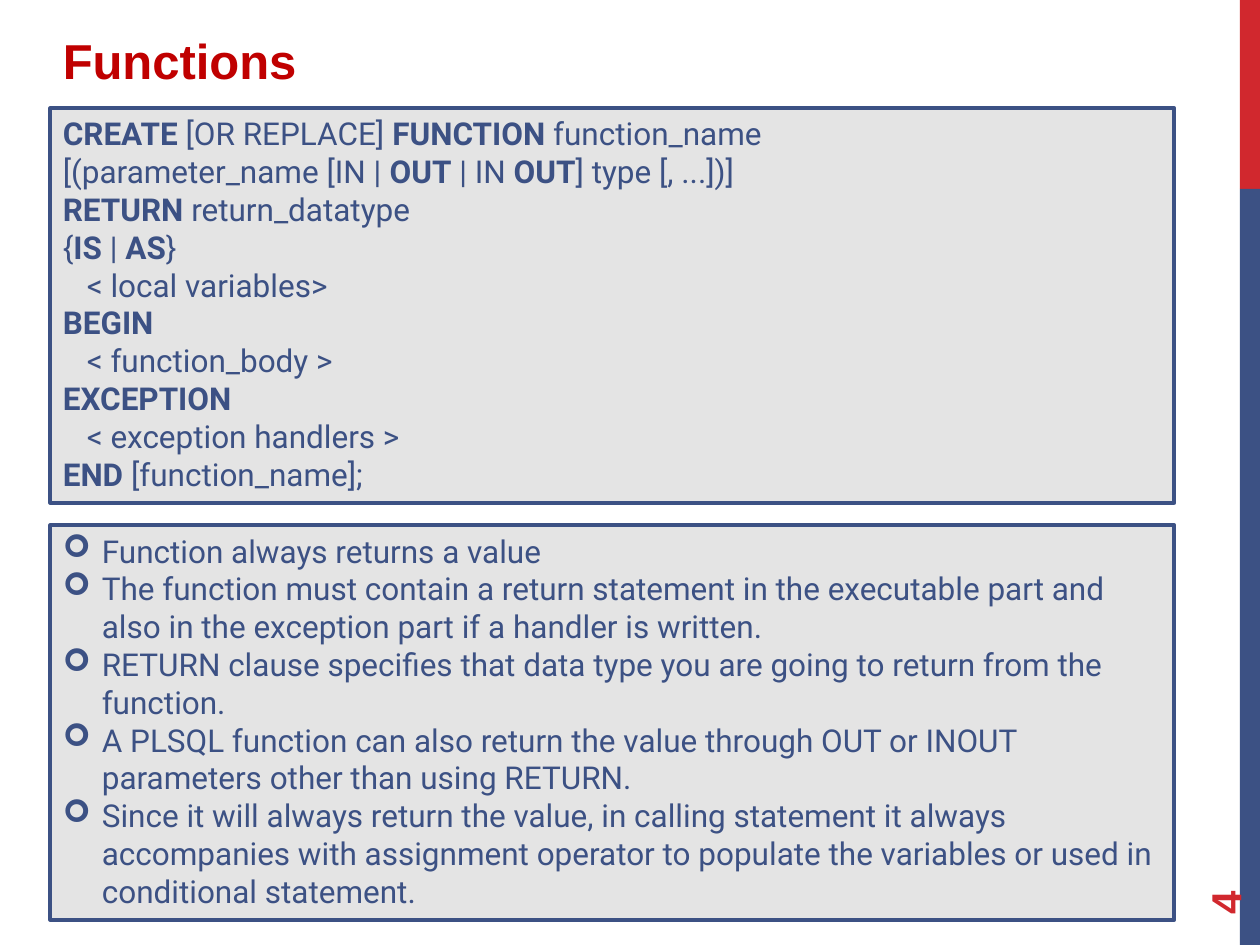
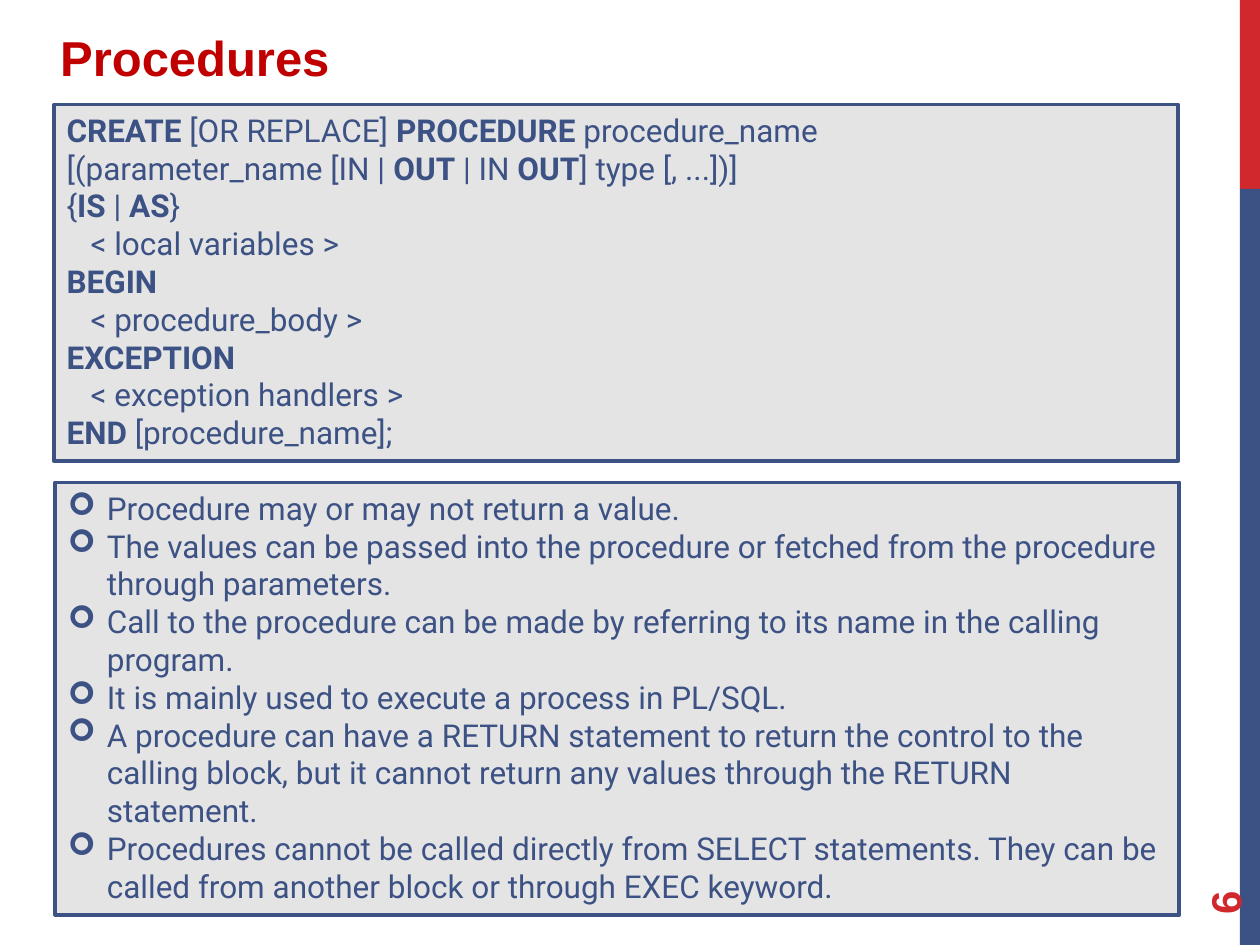
from lxml import etree
from pptx import Presentation
from pptx.dml.color import RGBColor
from pptx.enum import shapes, text
from pptx.oxml import ns
from pptx.util import Inches, Pt

COLORS = {"red": "D1282E", "blue": "3C5184", "title": "C00000", "panel": "E4E4E4"}
HEAD_FONT, BODY_FONT = "Arial", "Roboto"
PANEL_WIDTH = 8.92
CODE_INDENT = 0.19
BULLET_INDENT = 0.31

# In code lines, *stars* enclose keywords and a leading tab indents the line.
PARAMETERS = "[(parameter_name [IN | *OUT* | IN *OUT*] type [, ...])]"

PAGES = [
    {
        "title": "Functions", "number": "4", "title_at": (0.4, 0.19),
        "code_at": (0.4, 0.86, 3.13), "notes_at": (0.4, 4.17, 3.13),
        "code": [
            "*CREATE* [OR REPLACE] *FUNCTION* function_name",
            PARAMETERS,
            "*RETURN* return_datatype",
            "{*IS* | *AS*}",
            "\t< local variables>",
            "*BEGIN*",
            "\t< function_body >",
            "*EXCEPTION*",
            "\t< exception handlers >",
            "*END* [function_name];",
        ],
        "notes": [
            "Function always returns a value",
            "The function must contain a return statement in the executable part "
            "and also in the exception part if a handler is written.",
            "RETURN clause specifies that data type you are going to return from "
            "the function.",
            "A PLSQL function can also return the value through OUT or INOUT "
            "parameters other than using RETURN.",
            "Since it will always return the value, in calling statement it always "
            "accompanies with assignment operator to populate the variables or "
            "used in conditional statement.",
        ],
    },
    {
        "title": "Procedures", "number": "6", "title_at": (0.38, 0.17),
        "code_at": (0.43, 0.83, 2.83), "notes_at": (0.44, 3.83, 3.43),
        "code": [
            "*CREATE* [OR REPLACE] *PROCEDURE* procedure_name",
            PARAMETERS,
            "{*IS* | *AS*}",
            "\t< local variables >",
            "*BEGIN*",
            "\t< procedure_body >",
            "*EXCEPTION*",
            "\t< exception handlers >",
            "*END* [procedure_name];",
        ],
        "notes": [
            "Procedure may or may not return a value.",
            "The values can be passed into the procedure or fetched from the "
            "procedure through parameters.",
            "Call to the procedure can be made by referring to its name in the "
            "calling program.",
            "It is mainly used to execute a process in PL/SQL.",
            "A procedure can have a RETURN statement to return the control to the "
            "calling block, but it cannot return any values through the RETURN "
            "statement.",
            "Procedures cannot be called directly from SELECT statements. They can "
            "be called from another block or through EXEC keyword.",
        ],
    },
]


def rgb(name):
    return RGBColor.from_string(COLORS[name])


def add_span(para, words, font, size, color, bold=False):
    span = para.add_run()
    span.text = words
    span.font.name = font
    span.font.size = Pt(size)
    span.font.bold = bold
    span.font.color.rgb = rgb(color)


def add_rect(page, left, top, width, height, fill, line=None):
    rect = page.shapes.add_shape(
        shapes.MSO_SHAPE.RECTANGLE,
        Inches(left), Inches(top), Inches(width), Inches(height))
    rect.shadow.inherit = False
    rect.fill.solid()
    rect.fill.fore_color.rgb = rgb(fill)
    if line:
        rect.line.color.rgb = rgb(line)
        rect.line.width = Pt(2.25)
    else:
        rect.line.fill.background()
    return rect


def add_label(page, left, top, width, height, words, size, color):
    """Add a one-line bold heading text box."""
    box = page.shapes.add_textbox(
        Inches(left), Inches(top), Inches(width), Inches(height))
    box.text_frame.word_wrap = True
    add_span(box.text_frame.paragraphs[0], words, HEAD_FONT, size, color, True)
    return box


def add_panel(page, left, top, height):
    """Add a grey framed panel and return its text frame."""
    panel = add_rect(page, left, top, PANEL_WIDTH, height, "panel", "blue")
    frame = panel.text_frame
    frame.word_wrap = True
    frame.auto_size = text.MSO_AUTO_SIZE.SHAPE_TO_FIT_TEXT
    frame.vertical_anchor = text.MSO_ANCHOR.TOP
    return frame


def add_paras(frame, lines):
    """Yield each line with a left-aligned paragraph to hold it."""
    for index, line in enumerate(lines):
        para = frame.add_paragraph() if index else frame.paragraphs[0]
        para.alignment = text.PP_ALIGN.LEFT
        yield para, line


def set_bullet(para):
    props = para._p.get_or_add_pPr()
    props.set("marL", str(Inches(BULLET_INDENT)))
    props.set("indent", str(-Inches(BULLET_INDENT)))
    font = etree.SubElement(props, ns.qn("a:buFont"))
    font.set("typeface", "Wingdings")
    etree.SubElement(props, ns.qn("a:buChar")).set("char", "\u27a2")


def add_code(page, place, lines):
    for para, line in add_paras(add_panel(page, *place), lines):
        if line.startswith("\t"):
            para._p.get_or_add_pPr().set("marL", str(Inches(CODE_INDENT)))
        for index, part in enumerate(line.strip().split("*")):
            if part:
                add_span(para, part, BODY_FONT, 18, "blue", index % 2 == 1)


def add_notes(page, place, lines):
    for para, line in add_paras(add_panel(page, *place), lines):
        set_bullet(para)
        add_span(para, line, BODY_FONT, 18, "blue")


def add_frame(page, number):
    """Add the side bands and the rotated page number."""
    add_rect(page, 9.84, 0, 0.16, 1.5, "red")
    add_rect(page, 9.84, 1.5, 0.16, 6, "blue")
    box = add_label(page, 9, 6.44, 1.44, 0.4, number, 24, "red")
    box.rotation = 270
    box.text_frame.vertical_anchor = text.MSO_ANCHOR.MIDDLE


def add_title(page, place, words):
    box = add_label(page, *place, 6.83, 0.67, words, 28, "title")
    para = box.text_frame.paragraphs[0]
    para.space_before = Pt(5.6)
    para.space_after = Pt(6)


def main():
    deck = Presentation()
    deck.slide_width, deck.slide_height = Inches(10), Inches(7.5)
    for content in PAGES:
        page = deck.slides.add_slide(deck.slide_layouts[6])
        add_frame(page, content["number"])
        add_title(page, content["title_at"], content["title"])
        add_code(page, content["code_at"], content["code"])
        add_notes(page, content["notes_at"], content["notes"])
    deck.save("out.pptx")


main()
